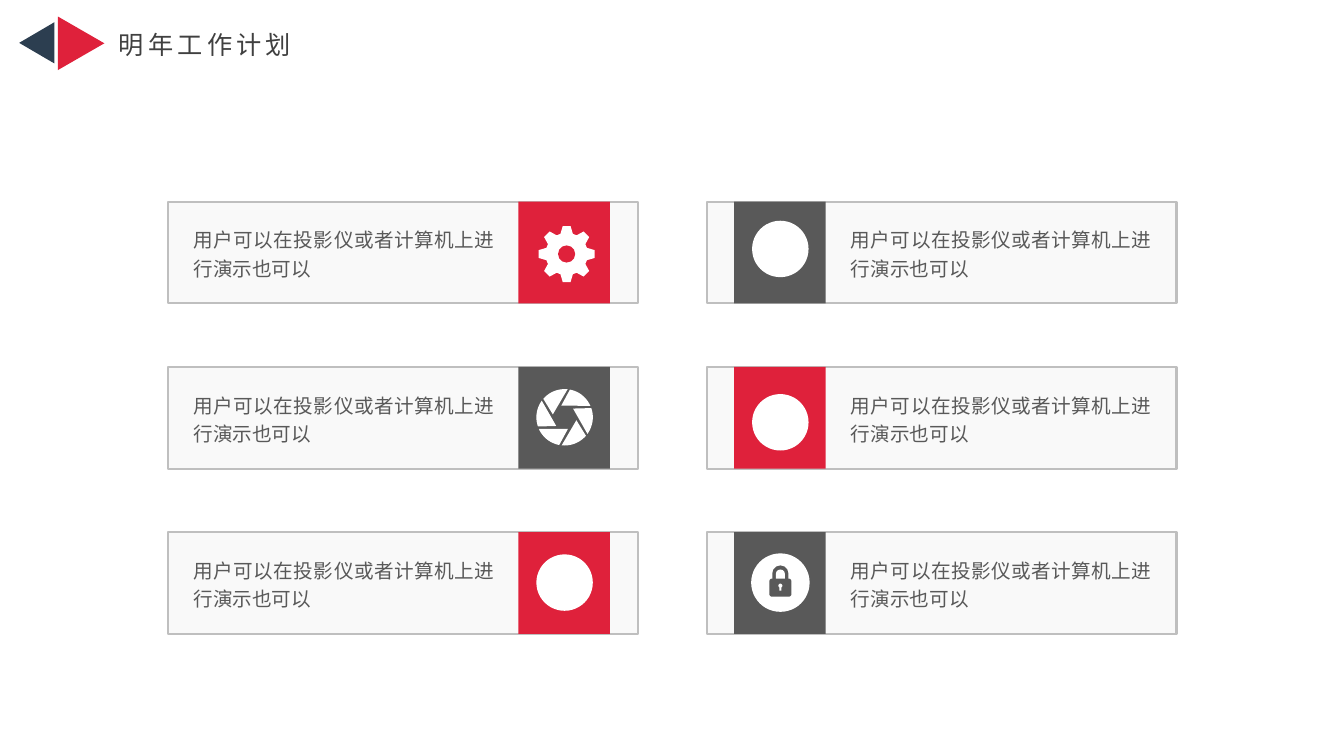
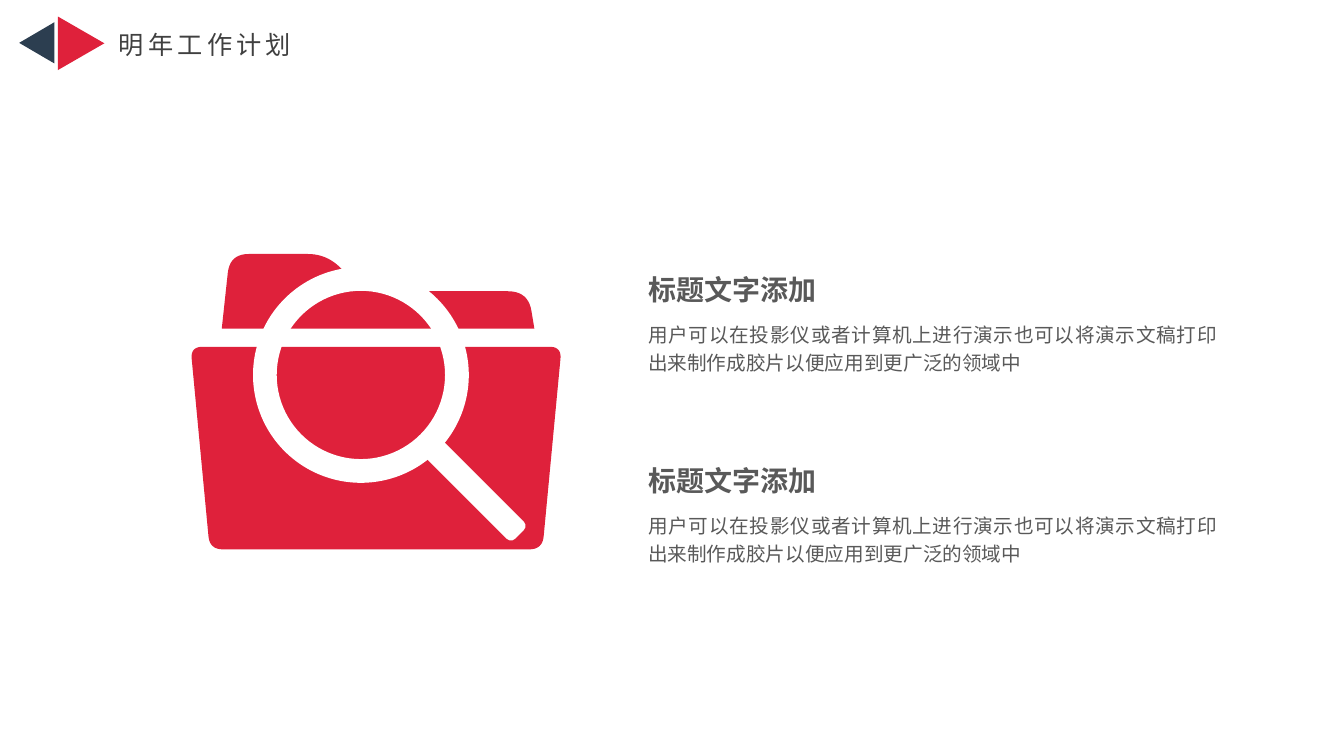
from math import cos, hypot, radians, sin

from lxml.etree import SubElement
from pptx import Presentation
from pptx.dml.color import RGBColor
from pptx.enum.shapes import MSO_SHAPE as Preset
from pptx.enum.text import MSO_ANCHOR as Anchor
from pptx.enum.text import MSO_AUTO_SIZE as AutoSize
from pptx.enum.text import PP_ALIGN as Align
from pptx.oxml.ns import qn
from pptx.util import Inches, Pt

RED = RGBColor(0xDF, 0x21, 0x3B)
NAVY = RGBColor(0x2C, 0x3E, 0x50)
GRAY = RGBColor(0x59, 0x59, 0x59)
TITLE_GRAY = RGBColor(0x40, 0x40, 0x40)
BORDER = RGBColor(0xBF, 0xBF, 0xBF)
CARD_FILL = RGBColor(0xF2, 0xF2, 0xF2)
WHITE = RGBColor(0xFF, 0xFF, 0xFF)

LATIN_FONT = "Arial"
CJK_FONT = "Noto Sans CJK SC"

TITLE = "明年工作计划"
CARD_TEXT = "用户可以在投影仪或者计算机上进行演示也可以"
SECTION_HEADING = "标题文字添加"
SECTION_TEXT = (
    "用户可以在投影仪或者计算机上进行演示也可以将演示文稿打印"
    "出来制作成胶片以便应用到更广泛的领域中"
)

CARD_WIDTH, CARD_HEIGHT, TILE_WIDTH = 4.66, 1.01, 0.91
CARD_TOP, ROW_PITCH = 2, 1.64
SECTION_TOP, SECTION_PITCH = 2.59, 1.89


def paint(shape, color):
    """Give a shape a flat fill with no outline or shadow."""
    shape.shadow.inherit = False
    shape.fill.solid()
    shape.fill.fore_color.rgb = color
    shape.line.fill.background()
    return shape


def add_preset(slide, kind, left, top, width, height, color, rotation=0, adjust=None):
    """Add a flat preset shape."""
    shape = slide.shapes.add_shape(
        kind, Inches(left), Inches(top), Inches(width), Inches(height)
    )
    shape.rotation = rotation
    if adjust is not None:
        shape.adjustments[0] = adjust
    return paint(shape, color)


def add_circle(slide, x, y, radius, color):
    """Add a filled circle around a centre."""
    return add_preset(
        slide, Preset.OVAL, x - radius, y - radius, 2 * radius, 2 * radius, color
    )


def add_outline(slide, points, color):
    """Add a closed freeform through points in inches."""
    start, *rest = [(Inches(x), Inches(y)) for x, y in points]
    builder = slide.shapes.build_freeform(*start)
    builder.add_line_segments(rest, close=True)
    return paint(builder.convert_to_shape(), color)


def polar(x, y, radius, degrees):
    """Return the point at a radius and angle from a centre."""
    return x + radius * cos(radians(degrees)), y + radius * sin(radians(degrees))


def toward(start, end, distance):
    """Return the point at a distance from start on the way to end."""
    share = distance / hypot(end[0] - start[0], end[1] - start[1])
    return tuple(a + share * (b - a) for a, b in zip(start, end))


def round_corners(corners, steps=10):
    """Return polygon points with each (x, y, cut) corner rounded."""
    points = []
    for index, (x, y, cut) in enumerate(corners):
        following = corners[(index + 1) % len(corners)]
        entry = toward((x, y), corners[index - 1][:2], cut)
        leave = toward((x, y), following[:2], cut)
        for step in range(steps + 1 if cut else 1):
            t = step / steps
            points.append(tuple(
                (1 - t) ** 2 * a + 2 * t * (1 - t) * b + t * t * c
                for a, b, c in zip(entry, (x, y), leave)
            ))
    return points


def style_paragraph(paragraph, size, color, latin=LATIN_FONT, bold=False):
    """Set the font of a whole paragraph, including its East Asian face."""
    font = paragraph.font
    font.size, font.bold, font.name = Pt(size), bold, latin
    font.color.rgb = color
    properties = paragraph._p.pPr.find(qn("a:defRPr"))
    SubElement(properties, qn("a:ea")).set("typeface", CJK_FONT)
    return properties


def add_text(slide, text, left, top, width, height, size=14, bold=False):
    """Add a justified, wrapping text box."""
    box = slide.shapes.add_textbox(
        Inches(left), Inches(top), Inches(width), Inches(height)
    )
    frame = box.text_frame
    frame.word_wrap = True
    paragraph = frame.paragraphs[0]
    paragraph.text = text
    paragraph.alignment = Align.JUSTIFY
    paragraph.line_spacing = 1.2
    style_paragraph(paragraph, size, GRAY, bold=bold)


def add_titled_slide(presentation):
    """Add a slide with the shared title and its pair of triangles."""
    slide = presentation.slides.add_slide(presentation.slide_layouts[5])
    add_preset(slide, Preset.ISOSCELES_TRIANGLE, 0.16, 0.25, 0.41, 0.35, NAVY, 270)
    add_preset(slide, Preset.ISOSCELES_TRIANGLE, 0.54, 0.2, 0.53, 0.46, RED, 90)
    title = slide.shapes.title
    title.left, title.top = Inches(1.08), Inches(0.24)
    title.width, title.height = Inches(1.97), Inches(0.4)
    frame = title.text_frame
    frame.word_wrap = False
    frame.auto_size = AutoSize.NONE
    frame.vertical_anchor = Anchor.TOP
    paragraph = frame.paragraphs[0]
    paragraph.text = TITLE
    paragraph.alignment = Align.LEFT
    style_paragraph(paragraph, 18, TITLE_GRAY, CJK_FONT).set("spc", "300")
    return slide


def draw_gear(slide, x, y, color):
    """Draw an eight-toothed gear."""
    tooth = ((0.21, -17), (0.28, -8), (0.28, 8), (0.21, 17))
    points = [
        polar(x, y, radius, turn + offset)
        for turn in range(0, 360, 45)
        for radius, offset in tooth
    ]
    add_outline(slide, points, WHITE)
    add_circle(slide, x, y, 0.085, color)


def draw_aperture(slide, x, y, color):
    """Draw a six-bladed camera aperture."""
    for turn in range(0, 360, 60):
        rim = [polar(x, y, 0.28, turn + angle) for angle in range(-139, -83, 5)]
        add_outline(slide, rim + [polar(x, y, 0.12, turn - 166)], WHITE)


def draw_disc(slide, x, y, color):
    """Draw a plain white disc."""
    add_circle(slide, x, y, 0.28, WHITE)


def draw_lock(slide, x, y, color):
    """Draw a padlock on a white disc."""
    rounded = Preset.ROUNDED_RECTANGLE
    add_circle(slide, x, y, 0.29, WHITE)
    add_preset(slide, rounded, x - 0.08, y - 0.17, 0.16, 0.26, color, adjust=0.5)
    add_preset(slide, rounded, x - 0.045, y - 0.13, 0.09, 0.14, WHITE, adjust=0.5)
    add_preset(slide, rounded, x - 0.11, y - 0.04, 0.22, 0.18, color, adjust=0.15)
    add_circle(slide, x, y + 0.03, 0.02, WHITE)
    add_preset(slide, Preset.RECTANGLE, x - 0.01, y + 0.03, 0.02, 0.05, WHITE)


def add_card(slide, card_left, tile_left, text_left, top, color):
    """Add a bordered card with a coloured tile and its text."""
    card = add_preset(
        slide, Preset.RECTANGLE, card_left, top, CARD_WIDTH, CARD_HEIGHT, CARD_FILL
    )
    fill_color = card._element.spPr.find(qn("a:solidFill"))[0]
    SubElement(fill_color, qn("a:alpha")).set("val", "40000")
    card.line.color.rgb = BORDER
    card.line.width = Pt(1.5)
    add_preset(slide, Preset.RECTANGLE, tile_left, top, TILE_WIDTH, CARD_HEIGHT, color)
    add_text(slide, CARD_TEXT, text_left, top + 0.17, 3.18, 0.67)


def build_cards_slide(presentation):
    """Build the slide with two columns of icon cards."""
    slide = add_titled_slide(presentation)
    columns = (
        ((1.67, 5.14, 1.82),
         ((draw_gear, 5.62, 2.52), (draw_aperture, 5.6, 4.14), (draw_disc, 5.6, 5.78))),
        ((7.01, 7.28, 8.34),
         ((draw_disc, 7.74, 2.47), (draw_disc, 7.74, 4.19), (draw_lock, 7.74, 5.78))),
    )
    for column, (lefts, icons) in enumerate(columns):
        for row, (draw_icon, x, y) in enumerate(icons):
            color = GRAY if (column + row) % 2 else RED
            add_card(slide, *lefts, CARD_TOP + row * ROW_PITCH, color)
            draw_icon(slide, x, y, color)


def draw_folder(slide):
    """Draw a folder with a magnifier over it."""
    back = (
        (2.2, 3.26, 0), (2.28, 2.52, 0.19), (3.24, 2.52, 0.19),
        (3.61, 2.89, 0.19), (5.24, 2.89, 0.2), (5.3, 3.26, 0),
    )
    front = (
        (1.89, 3.44, 0.12), (5.57, 3.44, 0.12),
        (5.38, 5.45, 0.13), (2.08, 5.45, 0.13),
    )
    for corners in (back, front):
        add_outline(slide, round_corners(corners), RED)
    add_preset(slide, Preset.DONUT, 2.51, 2.65, 2.14, 2.14, WHITE, adjust=0.11)
    add_preset(
        slide, Preset.ROUNDED_RECTANGLE, 4.06, 4.73, 1.28, 0.24, WHITE, 45, 0.25
    )


def build_folder_slide(presentation):
    """Build the slide with the folder and two text sections."""
    slide = add_titled_slide(presentation)
    draw_folder(slide)
    for index in range(2):
        top = SECTION_TOP + index * SECTION_PITCH
        add_text(slide, SECTION_HEADING, 6.33, top, 2.45, 0.47, 20, True)
        add_text(slide, SECTION_TEXT, 6.33, top + 0.52, 5.84, 0.64)


def main():
    """Build and save the presentation."""
    presentation = Presentation()
    presentation.slide_width = Inches(13.33)
    presentation.slide_height = Inches(7.5)
    build_cards_slide(presentation)
    build_folder_slide(presentation)
    presentation.save("out.pptx")


if __name__ == "__main__":
    main()
